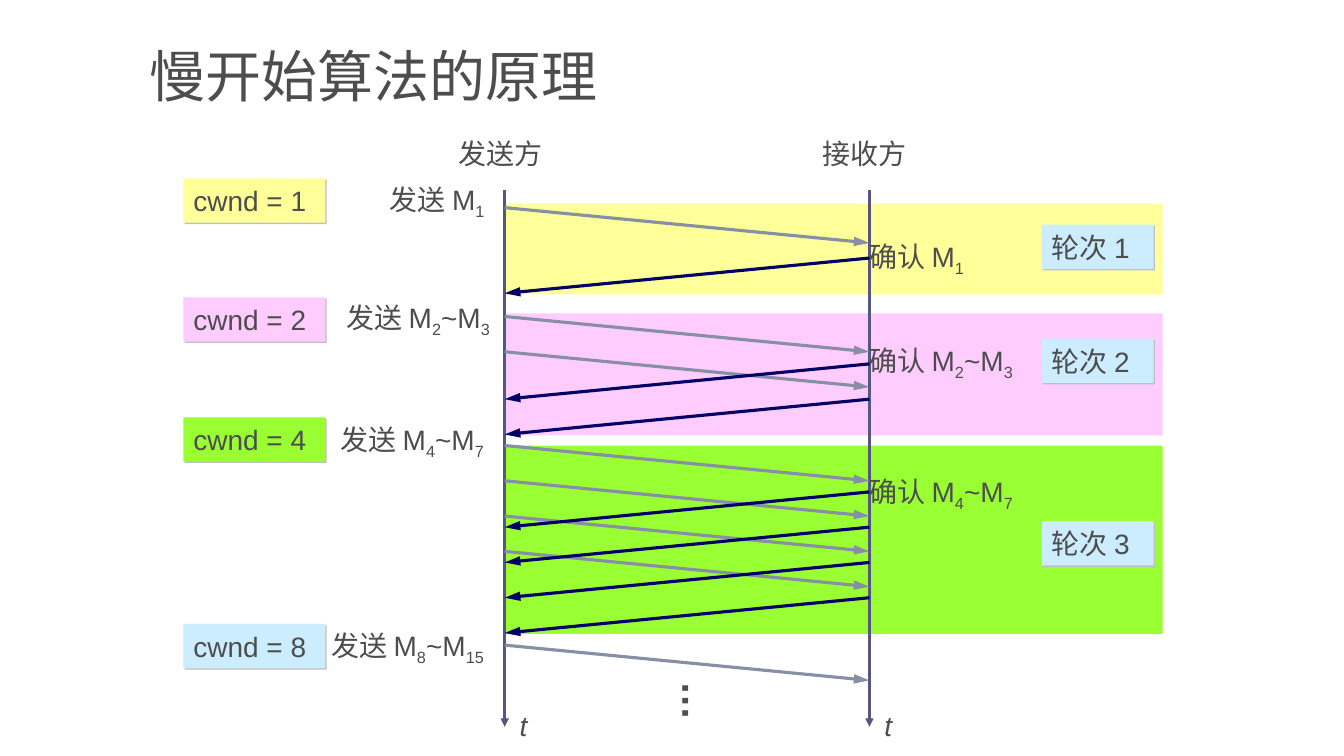
from dataclasses import dataclass
from lxml.etree import SubElement
from pptx import Presentation
from pptx.dml.color import RGBColor
from pptx.enum.shapes import MSO_CONNECTOR, MSO_SHAPE
from pptx.enum.text import MSO_ANCHOR, MSO_AUTO_SIZE, PP_ALIGN
from pptx.oxml.ns import qn
from pptx.util import Inches, Pt

# Grid of square cells, ten to the inch
COLUMNS, ROWS = 133.4, 75
SENDER, RECEIVER = 50.1, 86.3
STEP = 3.5  # rows between packets, and rows a packet falls in transit
TEXT, GREY, NAVY, AXIS, PALE_BLUE = "4D4D4D", "878FA5", "000066", "565682", "CCECFF"


@dataclass
class Box:
    left: float
    top: float
    width: float
    height: float


@dataclass
class Round:
    colour: str
    window: int
    first: int
    last: int
    band: Box
    packets: int
    send: float  # the rows below are counted from the top of the band
    window_row: float
    send_row: float
    send_left: float
    send_width: float
    number: int = 0
    ack: float = 0
    ack_row: float = 0
    ack_width: float = 0
    number_row: float = 0


ROUNDS = [
    Round("FFFF99", 1, 1, 1, Box(SENDER, 20.2, 65.3, 9), 1, 0.4, -2.5, -2.6, 37.7, 12.8,
          1, 5.4, 3.1, 13.7, 2.1),
    Round("FFCCFF", 2, 2, 3, Box(SENDER, 31.1, 65.3, 12.1), 2, 0.3, -1.6, -1.8, 33.4, 17.7,
          2, 5, 2.5, 19, 2.5),
    Round("99FF33", 4, 4, 7, Box(SENDER, 44.2, 65.3, 18.7), 4, 0, -2.8, -2.8, 32.8, 17.7,
          3, 4.6, 2.4, 19, 7.5),
    Round(PALE_BLUE, 8, 8, 15, Box(SENDER, 64, 65.3, 3.5), 1, 0, -2.1, -2.1, 31.9, 18.6),
]


def cells(count):
    return Inches(count / 10)


def place(box):
    return [cells(n) for n in (box.left, box.top, box.width, box.height)]


def rgb(colour):
    return RGBColor.from_string(colour)


def write(shape, pieces, size=20, font="Arial", wrap=False, bold=False, italic=False):
    """Fill a shape with one paragraph; every second piece is a subscript."""
    frame = shape.text_frame
    frame.word_wrap = wrap
    frame.auto_size = MSO_AUTO_SIZE.NONE if wrap else MSO_AUTO_SIZE.SHAPE_TO_FIT_TEXT
    para = frame.paragraphs[0]
    para.alignment = PP_ALIGN.LEFT
    para.font.size, para.font.name = Pt(size), font
    para.font.bold, para.font.italic = bold, italic
    para.font.color.rgb = rgb(TEXT)
    for index, piece in enumerate(pieces):
        span = para.add_run()
        span.text = piece
        if index % 2:
            span.font._element.set("baseline", "-25000")


def label(page, box, pieces, **style):
    shape = page.shapes.add_textbox(*place(box))
    write(shape, pieces, **style)
    return shape


def panel(page, box, colour):
    shape = page.shapes.add_shape(MSO_SHAPE.RECTANGLE, *place(box))
    shape.shadow.inherit = False
    shape.fill.solid()
    shape.fill.fore_color.rgb = rgb(colour)
    shape.line.fill.background()
    return shape


def tag(page, box, colour, text):
    shape = panel(page, box, colour)
    effects = shape._element.spPr.find(qn("a:effectLst"))
    shadow = SubElement(effects, qn("a:outerShdw"), dist=str(Pt(1.4)), dir="2700000",
                        algn="ctr", rotWithShape="0")
    SubElement(shadow, qn("a:srgbClr"), val="C0C0C0")
    write(shape, [text])
    shape.text_frame.vertical_anchor = MSO_ANCHOR.MIDDLE


def arrow(page, start, end, colour, width=2.25, length="lg"):
    line = page.shapes.add_connector(MSO_CONNECTOR.STRAIGHT, *map(cells, start + end))
    line.line.color.rgb = rgb(colour)
    line.line.width = Pt(width)
    SubElement(line.line._get_or_add_ln(), qn("a:tailEnd"), type="triangle", w="med", len=length)
    SubElement(line._element.spPr, qn("a:effectLst"))


def segments(first, last):
    pieces = ["M", str(first)]
    return pieces if first == last else pieces + ["~M", str(last)]


def message(verb, turn):
    first, *others = segments(turn.first, turn.last)
    return [f"{verb} {first}", *others]


def draw_round(page, turn):
    box = turn.band
    right = box.left + box.width
    # Packets go right, acknowledgements come back left
    for index in range(turn.packets):
        row = box.top + turn.send + index * STEP
        arrow(page, (SENDER, row), (RECEIVER, row + STEP), GREY)
    if turn.number:
        for index in range(turn.packets):
            row = box.top + turn.ack + index * STEP
            arrow(page, (RECEIVER, row), (SENDER, row + STEP), NAVY)
        label(page, Box(RECEIVER - 1, box.top + turn.ack_row, turn.ack_width, 4.8),
              message("确认", turn))
        tag(page, Box(right - 12, box.top + turn.number_row, 11.1, 4.4), PALE_BLUE,
            f"轮次 {turn.number}")
    # Window size and what is sent
    label(page, Box(turn.send_left, box.top + turn.send_row, turn.send_width, 4.8),
          message("发送", turn))
    tag(page, Box(box.left - 31.9, box.top + turn.window_row, 14.1, 4.4), turn.colour,
        f"cwnd = {turn.window}")


def draw_time_axis(page, box, name):
    bottom = box.top + box.height
    arrow(page, (box.left, box.top), (box.left, bottom), AXIS, 2, "med")
    # The heading box is wide enough to hold the name on one line
    label(page, Box(box.left - 5.6, box.top - 5.8, 11.2, 4.4), [name])
    label(page, Box(box.left + 0.5, bottom - 2.3, 2.8, 4.3), ["t"], italic=True)


def draw_slide(page):
    label(page, Box(13.9, 3.6, 85.2, 7.6), ["慢开始算法的原理"], size=40,
          font="Noto Sans CJK SC", wrap=True)
    # Bands lie behind the axes and arrows
    for turn in ROUNDS:
        if turn.number:
            panel(page, turn.band, turn.colour)
    for column, name in ((SENDER, "发送方"), (RECEIVER, "接收方")):
        draw_time_axis(page, Box(column, 18.9, 0, 53.2), name)
    for turn in ROUNDS:
        draw_round(page, turn)
    dots = label(page, Box(66.3, 66.7, 5.9, 5.7), ["…"], size=28, bold=True)
    dots.rotation = 90


def main():
    deck = Presentation()
    deck.slide_width, deck.slide_height = cells(COLUMNS), cells(ROWS)
    draw_slide(deck.slides.add_slide(deck.slide_layouts[6]))
    deck.save("out.pptx")


if __name__ == "__main__":
    main()
